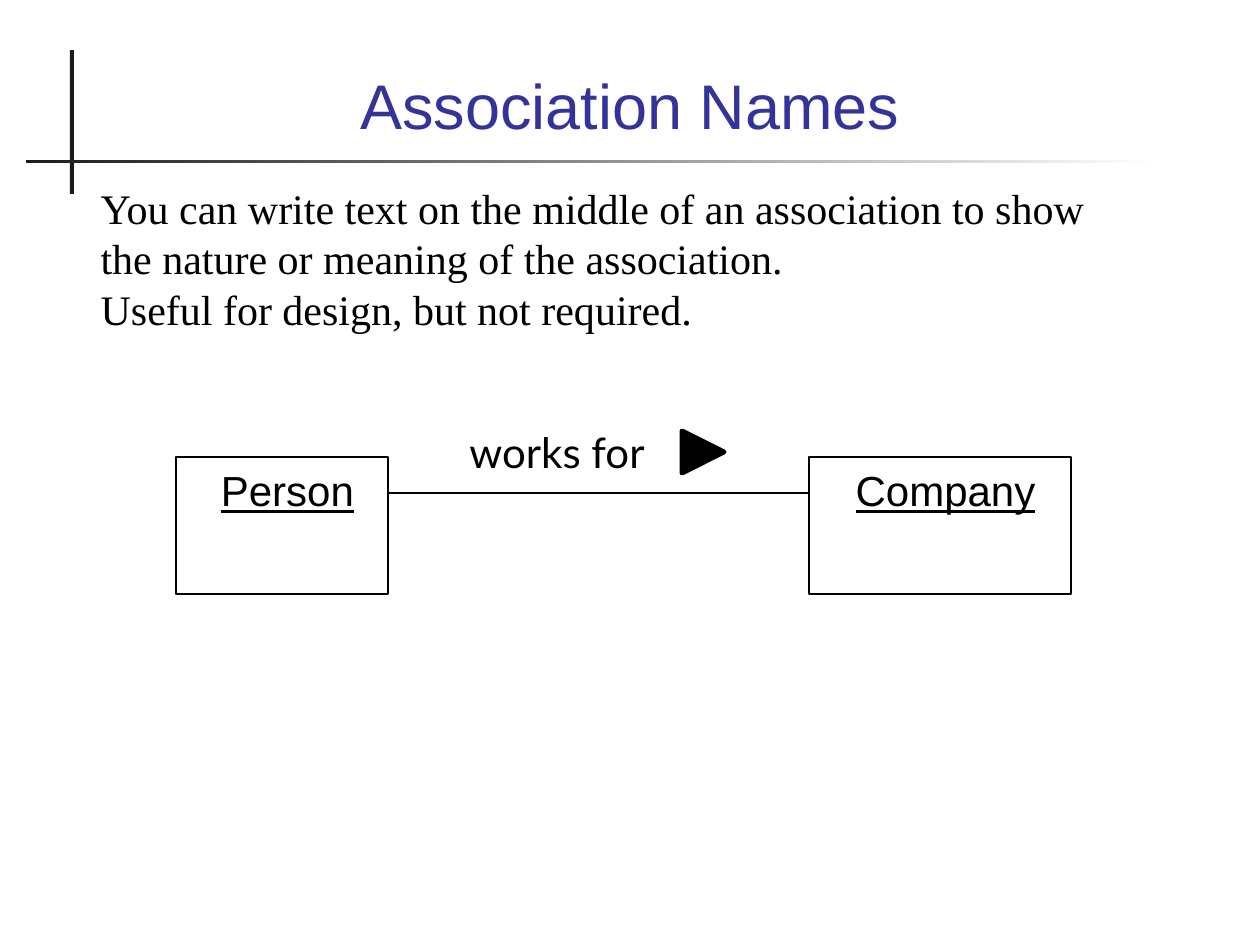
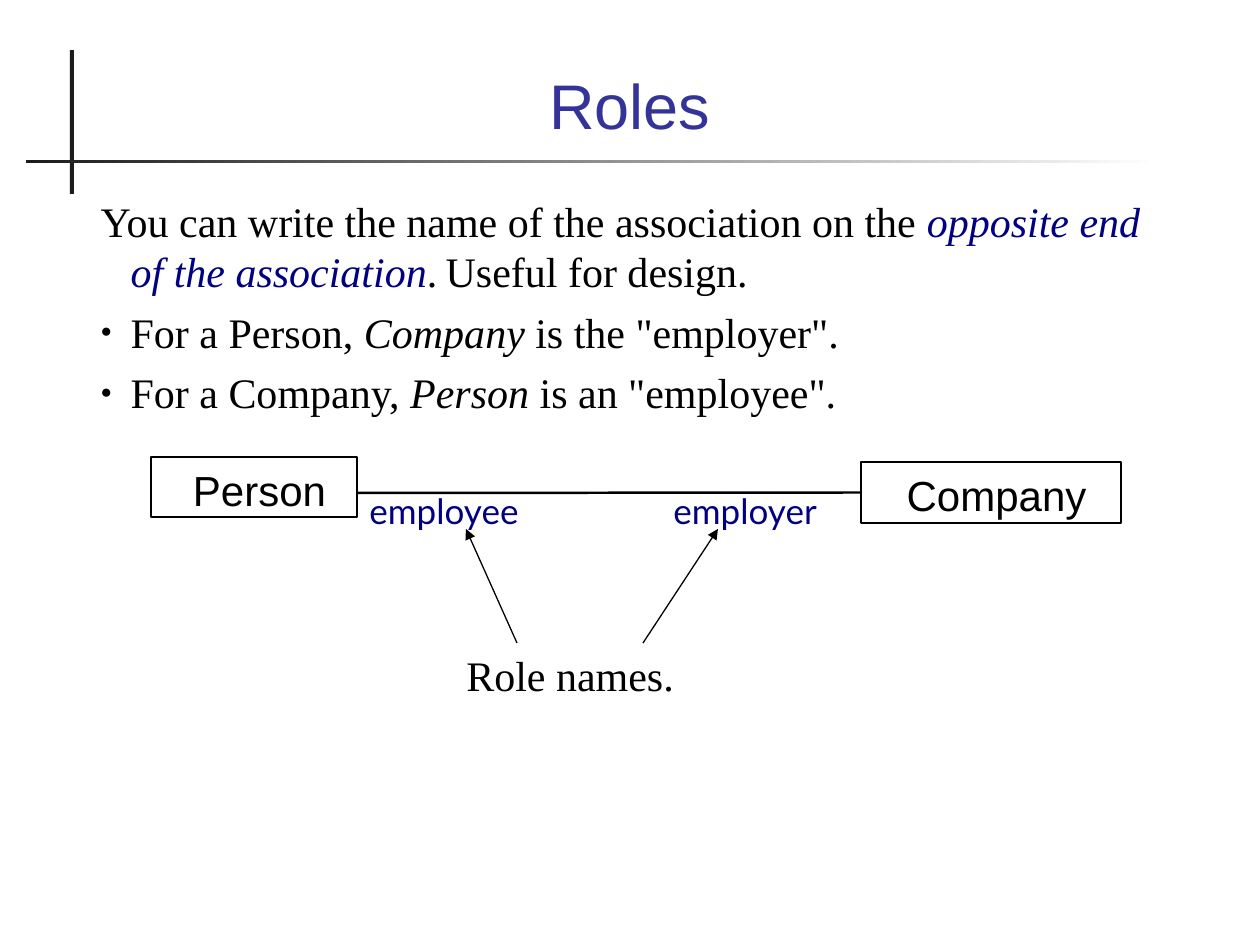
from lxml.etree import SubElement
from pptx import Presentation
from pptx.dml.color import RGBColor
from pptx.enum.shapes import MSO_CONNECTOR as Connector, MSO_SHAPE as Shape
from pptx.enum.text import MSO_ANCHOR as Anchor, MSO_AUTO_SIZE as AutoSize, PP_ALIGN as Align
from pptx.oxml.ns import qn
from pptx.util import Emu, Pt

BLACK = RGBColor(0x00, 0x00, 0x00)
WHITE = RGBColor(0xFF, 0xFF, 0xFF)
CHARCOAL = RGBColor(0x1C, 0x1C, 0x1C)
INDIGO = RGBColor(0x33, 0x33, 0x99)
NAVY = RGBColor(0x00, 0x00, 0x80)

HEADING = "Arial"
LABEL = "Lato"
SERIF = "Times New Roman"

PX_PER_INCH = 126
SERIF_LEADING = Pt(28.8)
HANGING_INDENT = 30
THIN, MEDIUM = 0.75, 1.42


def px(length):
    return Emu(round(length * 914400 / PX_PER_INCH))


def place(shape, left, top, width, height):
    shape.left, shape.top, shape.width, shape.height = map(px, (left, top, width, height))


def add_span(para, text, font=SERIF, size=24, color=BLACK, italic=False, underline=False):
    span = para.add_run()
    span.text = text
    span.font.name = font
    span.font.size = Pt(size)
    span.font.color.rgb = color
    span.font.italic = italic
    span.font.underline = underline


def write(para, *parts, align=Align.LEFT, leading=None, before=0, **style):
    """Fill a paragraph; a part is a text or a (text, own style) pair."""
    para.alignment = align
    para.space_before = Pt(before)
    if leading:
        para.line_spacing = leading
    for part in parts:
        text, own = (part, {}) if isinstance(part, str) else part
        add_span(para, text, **{**style, **own})


def set_list_format(para, indent=0, bullet=None, tab=None):
    properties = para._p.get_or_add_pPr()
    properties.set("marL", str(px(indent)))
    properties.set("indent", str(-px(indent)))
    if bullet:
        SubElement(properties, qn("a:buSzPct"), val="45000")
        SubElement(properties, qn("a:buChar"), char=bullet)
    else:
        SubElement(properties, qn("a:buNone"))
    if tab:
        tabs = SubElement(properties, qn("a:tabLst"))
        SubElement(tabs, qn("a:tab"), pos=str(px(tab)), algn="l")


def add_bar(page, left, top, width, height):
    bar = page.shapes.add_shape(Shape.RECTANGLE, *map(px, (left, top, width, height)))
    bar.shadow.inherit = False
    bar.line.fill.background()
    return bar


def add_page(deck, title):
    """Add a page with the crossed bars and its title."""
    page = deck.slides.add_slide(deck.slide_layouts[1])
    upright = add_bar(page, 70, 50, 4, 144)
    upright.fill.solid()
    upright.fill.fore_color.rgb = CHARCOAL
    fading = add_bar(page, 26, 160, 1133, 3)
    fading.fill.gradient()
    fading.fill.gradient_angle = 0
    for stop, color in zip(fading.fill.gradient_stops, (CHARCOAL, WHITE)):
        stop.color.rgb = color

    heading = page.shapes.title
    place(heading, 121, 53, 1018, 95)
    heading.text_frame.vertical_anchor = Anchor.BOTTOM
    heading.text_frame.auto_size = AutoSize.NONE
    write(heading.text_frame.paragraphs[0], title,
          align=Align.CENTER, font=HEADING, size=36, color=INDIGO)
    return page


def fill_body(page, bounds, items, gap=0):
    """Write the list; an item is its parts and its list format."""
    body = page.placeholders[1]
    place(body, *bounds)
    frame = body.text_frame
    frame.auto_size = AutoSize.NONE
    frame.vertical_anchor = Anchor.TOP
    for index, (parts, list_format) in enumerate(items):
        para = frame.add_paragraph() if index else frame.paragraphs[0]
        set_list_format(para, **list_format)
        write(para, *parts, leading=SERIF_LEADING, before=gap if index else 0)


def add_label(page, text, left, top, width, height, **style):
    label = page.shapes.add_textbox(*map(px, (left, top, width, height)))
    label.text_frame.word_wrap = True
    write(label.text_frame.paragraphs[0], text, **style)


def add_class_box(page, name, left, top, width, height, underline=False):
    box = page.shapes.add_shape(Shape.RECTANGLE, *map(px, (left, top, width, height)))
    box.shadow.inherit = False
    box.fill.background()
    box.line.color.rgb = BLACK
    box.line.width = Pt(MEDIUM)
    frame = box.text_frame
    frame.word_wrap = True
    frame.vertical_anchor = Anchor.TOP
    frame.margin_left, frame.margin_right = px(22), px(11)
    frame.margin_top, frame.margin_bottom = px(8), px(5)
    write(frame.paragraphs[0], name, align=Align.CENTER, font=HEADING, underline=underline)
    return box


def add_line(page, start, end, width=THIN, arrow=False):
    line = page.shapes.add_connector(Connector.STRAIGHT, *map(px, (*start, *end)))
    line.line.color.rgb = BLACK
    line.line.width = Pt(width)
    if arrow:
        SubElement(line.line._get_or_add_ln(), qn("a:tailEnd"), type="triangle")
    SubElement(line._element.spPr, qn("a:effectLst"))
    return line


def add_reading_arrow(page, left, top, side):
    arrow = page.shapes.add_shape(Shape.ISOSCELES_TRIANGLE, *map(px, (left, top, side, side)))
    arrow.rotation = 90
    arrow.shadow.inherit = False
    arrow.fill.solid()
    arrow.fill.fore_color.rgb = BLACK
    arrow.line.color.rgb = BLACK
    arrow.line.width = Pt(2.83)


def build_association_names(deck):
    page = add_page(deck, "Association Names")
    fill_body(page, (88, 176, 1058, 164), [
        (["You can write text on the middle of an association to show "
          "the nature or meaning of the association."], {}),
        (["Useful for design, but not required."], {}),
    ])
    add_class_box(page, "Person", 176, 457, 212, 137, underline=True)
    add_class_box(page, "Company", 809, 457, 262, 137, underline=True)
    add_line(page, (388, 493), (809, 493))
    add_label(page, "works for", 457, 420, 252, 63, font=LABEL)
    add_reading_arrow(page, 682, 431, 42)


def build_roles(deck):
    page = add_page(deck, "Roles")
    italic = {"italic": True}
    bulleted = {"indent": HANGING_INDENT, "bullet": "●"}
    fill_body(page, (88, 189, 1084, 234), [
        (["You can write the name of the association on the ",
          ("opposite end of the association", {"italic": True, "color": NAVY}),
          ".\tUseful for design."], {"indent": HANGING_INDENT, "tab": 368}),
        (["For a Person, ", ("Company", italic), ' is the "employer".'], bulleted),
        (["For a Company, ", ("Person", italic), ' is an "employee".'], bulleted),
    ], gap=5.8)
    add_class_box(page, "Person", 151, 457, 206, 60)
    company = add_class_box(page, "Company", 861, 462, 260, 61)
    association = add_line(page, (357, 493), (861, 493), width=MEDIUM)
    association.end_connect(company, 1)
    for role, left in (("employee", 357), ("employer", 661)):
        add_label(page, role, left, 483, 231, 55, font=LABEL, size=20, color=NAVY)
    add_label(page, "Role names.", 454, 643, 252, 88, leading=SERIF_LEADING)
    for start, end in ((517, 466), (643, 718)):
        add_line(page, (start, 643), (end, 529), arrow=True)


def main():
    deck = Presentation()
    deck.slide_width, deck.slide_height = px(1260), px(945)
    build_association_names(deck)
    build_roles(deck)
    deck.save("out.pptx")


if __name__ == "__main__":
    main()
